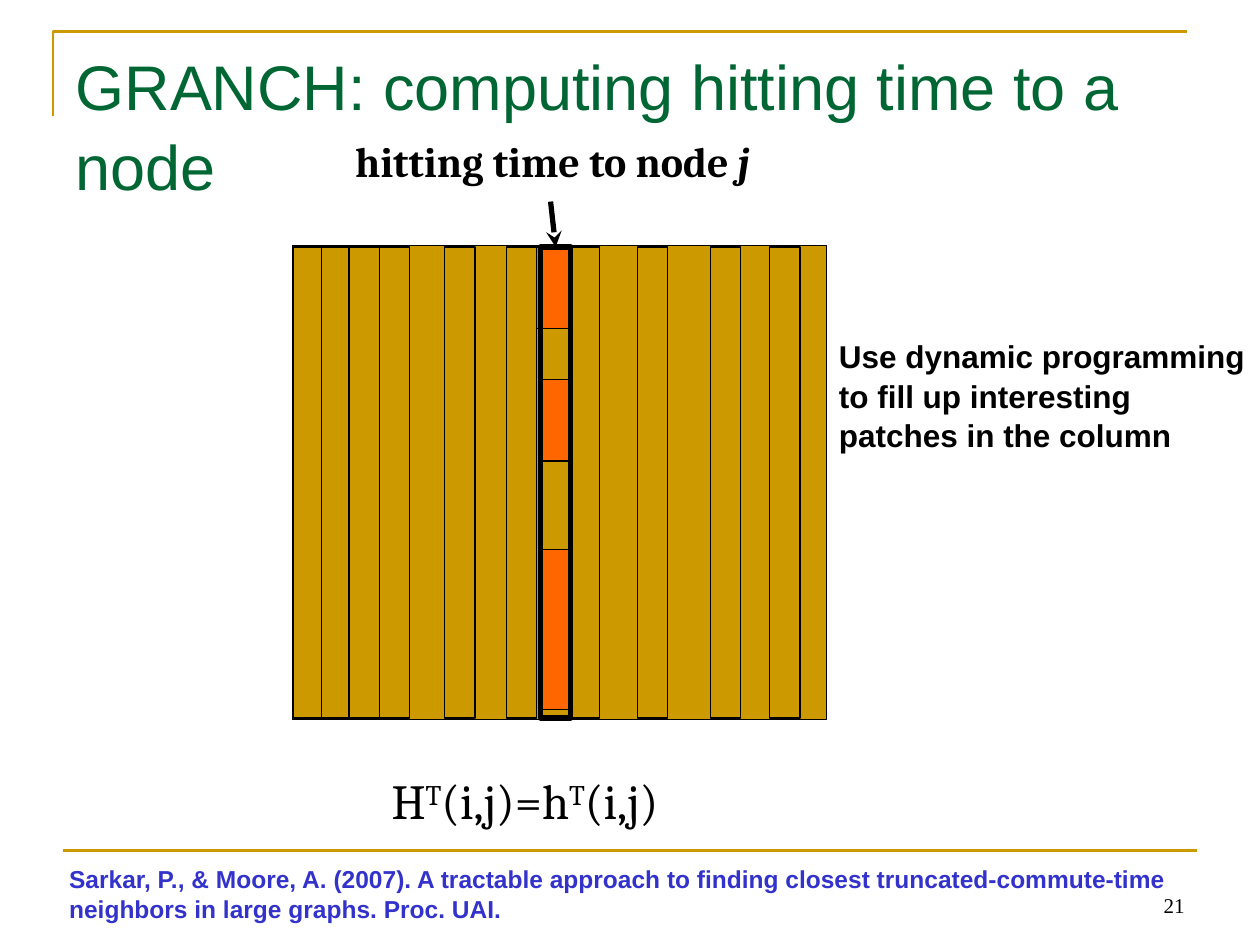
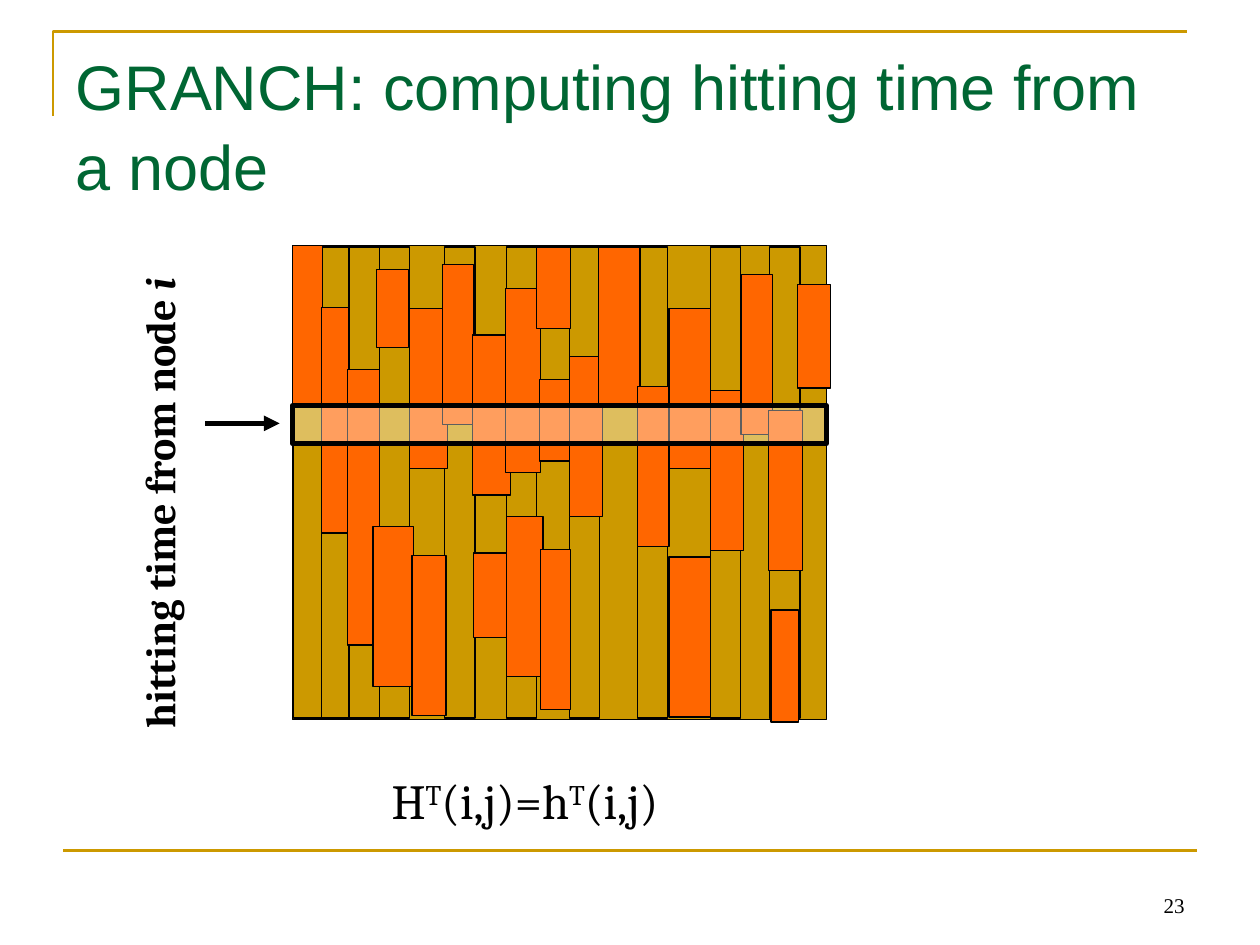
import pptx
import pptx.dml.color
import pptx.enum.shapes
import pptx.enum.text
import pptx.oxml.ns
import pptx.util
from lxml import etree

# The grid has 100 columns and 75 rows, so one cell is a tenth of an inch.
COLUMNS, ROWS = 100, 75
GOLD, ORANGE, GREEN, BLUE = "CC9900", "FF6600", "006633", "3333CC"
BLACK, WHITE = "000000", "FFFFFF"

# Matrix geometry in grid cells
MATRIX = (23.2, 19.5, 42.4, 37.6)
STRIP_TOP, STRIP_WIDTH, STRIP_HEIGHT = 19.6, 2.4, 37.4
STRIP_LEFTS = (23.3, 25.5, 27.7, 30.1, 35.3, 40.2, 45.2, 50.6, 56.4, 61.1)
PATCH_HEIGHT = 12.7

# Patches: left, top, width and, where it is not PATCH_HEIGHT, height
COLUMN_J_PATCHES = [(42.6, 19.6, 2.7, 6.5), (42.8, 30.1, 2.5, 6.5), (42.9, 43.6, 2.4)]
ALL_PATCHES = [
    (23.2, 19.5, 2.4), (25.5, 24.4, 2.2, 17.9), (27.6, 29.3, 2.5, 21.9),
    (29.9, 21.4, 2.5, 6.2), (29.6, 41.8, 3.2), (32.5, 24.5, 3),
    (32.7, 44.1, 2.7), (35.1, 21, 2.5), (37.5, 26.6, 3),
    (37.6, 43.9, 2.7, 6.7), (40.1, 22.9, 2.8, 14.6), (40.2, 41, 2.9),
    *COLUMN_J_PATCHES,
    (45.2, 28.3, 2.6), (47.5, 19.6, 3.3), (50.6, 30.7, 2.5),
    (53.1, 24.5, 3.3), (53.1, 44.2, 3.3), (56.4, 31, 2.6),
    (58.8, 21.8, 2.5), (61, 32.6, 2.7), (61.2, 48.4, 2.2, 8.9),
    (63.3, 22.6, 2.6, 8.2),
]


def colour(hex_string):
    return pptx.dml.color.RGBColor.from_string(hex_string)


class SlideWriter:
    """Holds the deck, its style and the slide being written."""

    def __init__(self, deck):
        self.deck = deck
        self.slide = None

    def x(self, columns):
        return round(self.deck.slide_width * columns / COLUMNS)

    def y(self, rows):
        return round(self.deck.slide_height * rows / ROWS)

    def area(self, left, top, width, height):
        return self.x(left), self.y(top), self.x(width), self.y(height)

    def start(self, title, number):
        """Add a slide with the shared frame, title and page number."""
        self.slide = self.deck.slides.add_slide(self.deck.slide_layouts[5])
        self.corner()
        self.line((5, 67.5), (95, 67.5), GOLD, 1.5)
        self.title(title)
        self.text((71.7, 68.3, 23.3, 5), [(str(number), "")], "Times New Roman", 12,
                  align=pptx.enum.text.PP_ALIGN.RIGHT,
                  anchor=pptx.enum.text.MSO_ANCHOR.BOTTOM)

    def corner(self):
        builder = self.slide.shapes.build_freeform(self.x(4.2), self.y(9.2))
        builder.add_line_segments(
            [(self.x(4.2), self.y(2.5)), (self.x(94.2), self.y(2.5))], close=False)
        shape = builder.convert_to_shape()
        shape.shadow.inherit = False
        shape.fill.background()
        self.outline(shape, GOLD, 1.5)

    def outline(self, shape, hex_string, points):
        shape.line.color.rgb = colour(hex_string)
        shape.line.width = pptx.util.Pt(points)

    def title(self, words):
        box = self.slide.shapes.title
        box.left, box.top, box.width, box.height = self.area(5, 3, 90, 12.5)
        self.fill_text(box.text_frame, [(words, "")], "Arial", 36, GREEN, spacing=1.05)

    def text(self, area, spans, font, size, hex_string=BLACK, rotation=0, **options):
        box = self.slide.shapes.add_textbox(*self.area(*area))
        box.rotation = rotation
        self.fill_text(box.text_frame, spans, font, size, hex_string, **options)

    def fill_text(self, frame, spans, font, size, hex_string, bold=False, spacing=None,
                  align=pptx.enum.text.PP_ALIGN.LEFT,
                  anchor=pptx.enum.text.MSO_ANCHOR.TOP):
        """Write spans of (words, style), where style is "", "italic" or "super"."""
        frame.word_wrap = True
        frame.auto_size = pptx.enum.text.MSO_AUTO_SIZE.NONE
        frame.vertical_anchor = anchor
        para = frame.paragraphs[0]
        para.alignment = align
        para.line_spacing = spacing
        para.font.name = font
        para.font.size = pptx.util.Pt(size)
        para.font.bold = bold
        para.font.color.rgb = colour(hex_string)
        for words, style in spans:
            for index, part in enumerate(words.split("\n")):
                if index:
                    para.add_line_break()
                span = para.add_run()
                span.text = part
                if style == "italic":
                    span.font.italic = True
                elif style == "super":
                    span.font._element.set("baseline", "30000")

    def rectangle(self, area, fill=None, points=0.75, opacity=100):
        shape = self.slide.shapes.add_shape(
            pptx.enum.shapes.MSO_SHAPE.RECTANGLE, *self.area(*area))
        shape.shadow.inherit = False
        self.outline(shape, BLACK, points)
        if fill is None:
            shape.fill.background()
            return shape
        shape.fill.solid()
        shape.fill.fore_color.rgb = colour(fill)
        if opacity < 100:
            tint = shape._element.spPr.find(".//" + pptx.oxml.ns.qn("a:srgbClr"))
            etree.SubElement(tint, pptx.oxml.ns.qn("a:alpha"), val=str(opacity * 1000))
        return shape

    def line(self, start, end, hex_string=BLACK, points=3, head=None):
        connector = self.slide.shapes.add_connector(
            pptx.enum.shapes.MSO_CONNECTOR.STRAIGHT,
            self.x(start[0]), self.y(start[1]), self.x(end[0]), self.y(end[1]))
        self.outline(connector, hex_string, points)
        if head:
            outline = connector.line._get_or_add_ln()
            etree.SubElement(outline, pptx.oxml.ns.qn("a:tailEnd"), type=head)
        etree.SubElement(connector._element.spPr, pptx.oxml.ns.qn("a:effectLst"))
        return connector

    def matrix(self, patches):
        """Draw the striped matrix, its filled patches and the formula below it."""
        self.rectangle(MATRIX, GOLD)
        for left in STRIP_LEFTS:
            self.rectangle((left, STRIP_TOP, STRIP_WIDTH, STRIP_HEIGHT), GOLD)
        for left, top, width, *height in patches:
            self.rectangle((left, top, width, *(height or [PATCH_HEIGHT])), ORANGE)
        formula = [("H", ""), ("T", "super"), ("(i,j)=h", ""), ("T", "super"), ("(i,j)", "")]
        self.text((30.1, 60.7, 24.9, 5.7), formula, "Cambria", 28)

    def hitting_label(self, area, preposition, node, rotation=0):
        self.text(area, [(f"hitting time {preposition} node ", ""), (node, "italic")],
                  "Cambria", 24, rotation=rotation, bold=True)


def write_time_to_node(writer):
    writer.start("GRANCH: computing hitting time to a node", 21)
    writer.hitting_label((27.2, 10.3, 34.6, 9), "to", "j")
    writer.matrix(COLUMN_J_PATCHES)
    column_j = writer.rectangle((42.9, STRIP_TOP, STRIP_WIDTH, STRIP_HEIGHT), points=3)
    arrow = writer.line((43.7, 16), (43.9, 19.7), head="stealth")
    arrow.end_connect(column_j, 0)
    writer.text((65.6, 26.1, 34.4, 10),
                [("Use dynamic programming to fill up interesting patches in the column", "")],
                "Arial", 18, bold=True, spacing=1.05)
    writer.text((4.5, 68.1, 90.5, 5.7),
                [("Sarkar, P., & Moore, A. (2007). A tractable approach to finding closest "
                  "truncated-commute-time\nneighbors in large graphs. Proc. UAI.", "")],
                "Arial", 14, BLUE, bold=True)


def write_time_from_node(writer):
    writer.start("GRANCH: computing hitting time from a node", 23)
    writer.matrix(ALL_PATCHES)
    writer.rectangle((23.2, 32.2, 42.4, 3), WHITE, points=3, opacity=37)
    writer.line((16.3, 33.6), (22.2, 33.6), head="triangle")
    writer.hitting_label((-5.8, 33.9, 40.8, 9), "from", "i", rotation=270)


def main():
    deck = pptx.Presentation()
    deck.slide_width = pptx.util.Inches(10)
    deck.slide_height = pptx.util.Inches(7.5)
    writer = SlideWriter(deck)
    write_time_to_node(writer)
    write_time_from_node(writer)
    deck.save("out.pptx")


if __name__ == "__main__":
    main()
